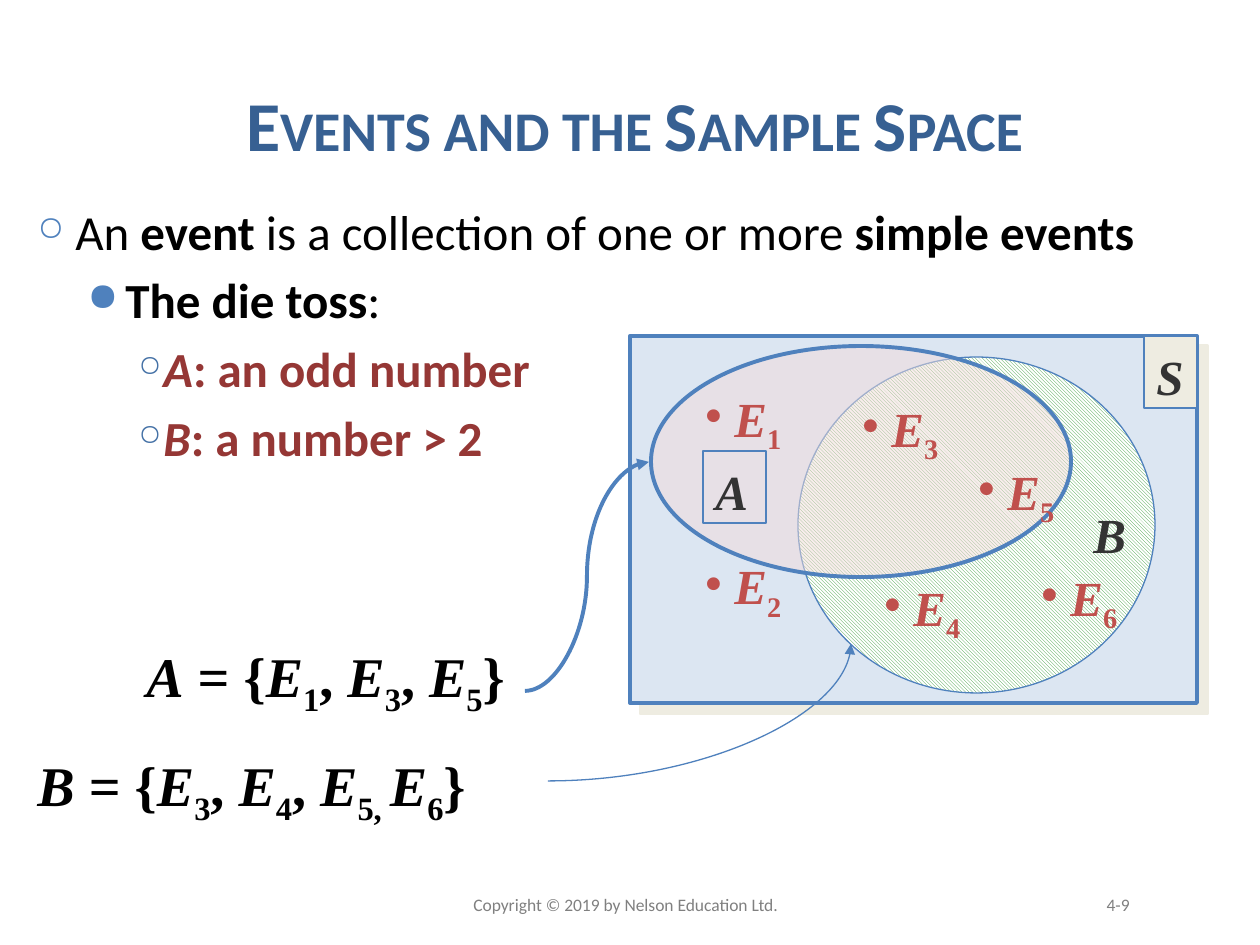
import pptx
import pptx.util
import pptx.dml.color
import pptx.enum.dml
import pptx.enum.shapes
import pptx.enum.text
import pptx.oxml
import lxml.etree

PX = 7257
NAMESPACE = 'xmlns:a="http://schemas.openxmlformats.org/drawingml/2006/main"'
SERIF = "Times New Roman"
SANS = "Calibri"
BLUE = "4F81BD"
color = pptx.dml.color.RGBColor.from_string
align = pptx.enum.text.PP_ALIGN
anchor = pptx.enum.text.MSO_ANCHOR
preset = pptx.enum.shapes.MSO_SHAPE


def write(paragraph, runs, size, font, hex_color):
    for text, style in runs:
        run = paragraph.add_run()
        run.text = text
        run.font.size = pptx.util.Pt(size)
        run.font.name = font
        run.font.color.rgb = color(hex_color)
        run.font.bold = "b" in style
        run.font.italic = "i" in style
        if "s" in style:
            run.font._element.set("baseline", "-25000")
        if "c" in style:
            run.font._element.set("cap", "small")


def add_bullet(paragraph, margin, indent, character, hex_color, percent):
    properties = paragraph._p.get_or_add_pPr()
    properties.set("marL", str(margin * PX))
    properties.set("indent", str(-indent * PX))
    for xml in (
        f'<a:buClr {NAMESPACE}><a:srgbClr val="{hex_color}"/></a:buClr>',
        f'<a:buSzPct {NAMESPACE} val="{percent * 1000}"/>',
        f'<a:buChar {NAMESPACE} char="{character}"/>',
    ):
        properties.append(pptx.oxml.parse_xml(xml))


presentation = pptx.Presentation()
presentation.slide_width = 1260 * PX
presentation.slide_height = 945 * PX
slide = presentation.slides.add_slide(presentation.slide_layouts[6])
shapes = slide.shapes

for bounds, text, style, size, hex_color, alignment, vertical in (
    ((44, 37, 1181, 129), "Events and the Sample Space", "bc", 40, "376092", align.CENTER, anchor.BOTTOM),
    ((426, 880, 399, 50), "Copyright © 2019 by Nelson Education Ltd.", "", 10, "808080", align.CENTER, anchor.MIDDLE),
    ((848, 880, 294, 50), "4-9", "", 10, "808080", align.RIGHT, anchor.MIDDLE),
):
    frame = shapes.add_textbox(*[value * PX for value in bounds]).text_frame
    frame.word_wrap = True
    frame.vertical_anchor = vertical
    if vertical == anchor.BOTTOM:
        frame.margin_bottom = 0
    frame.paragraphs[0].alignment = alignment
    write(frame.paragraphs[0], [(text, style)], size, SANS, hex_color)

body = shapes.add_textbox(25 * PX, 195 * PX, 1150 * PX, 672 * PX).text_frame
body.word_wrap = True
for index, (margin, indent, character, bullet_color, percent, hex_color, runs) in enumerate((
    (38, 38, "○", BLUE, 70, "000000", [
        ("An ", ""), ("event", "b"), (" is a collection of one or more ", ""), ("simple events", "b")]),
    (88, 38, "●", BLUE, 80, "000000", [("The die toss", "b"), (":", "")]),
    (126, 25, "○", "4471A6", 60, "953735", [("A", "bi"), (": an odd number", "b")]),
    (126, 25, "○", "4471A6", 60, "953735", [("B", "bi"), (": a number > 2", "b")]),
)):
    paragraph = body.add_paragraph() if index else body.paragraphs[0]
    add_bullet(paragraph, margin, indent, character, bullet_color, percent)
    if index:
        paragraph.space_before = pptx.util.Pt(5.6)
    write(paragraph, runs, 28, SANS, hex_color)

for bounds, event, members in (
    ((134, 631, 431, 80), "A", "135"),
    ((25, 741, 523, 80), "B", "3456"),
):
    runs = [(event, "bi"), (" = {", "b")]
    for index, member in enumerate(members):
        if index:
            runs.append((", ", "bs" if member == "6" else "b"))
        runs += [("E", "bi"), (member, "bs")]
    runs.append(("}", "b"))
    frame = shapes.add_textbox(*[value * PX for value in bounds]).text_frame
    frame.word_wrap = True
    frame.margin_top = 10 * PX
    write(frame.paragraphs[0], runs, 32, SERIF, "000000")

for kind, bounds, fill, width, label in (
    (preset.RECTANGLE, (630, 336, 567, 367), "DCE6F2", 2.25, ""),
    (preset.RECTANGLE, (1144, 336, 53, 72), "EEECE1", 0.75, "S"),
    (preset.OVAL, (798, 357, 357, 336), "pattern", 0.75, ""),
    (preset.RECTANGLE, (1081, 494, 73, 72), None, 0, "B"),
    ("curvedConnector2", (548, 781, 851, 644), None, 0.75, ""),
    (preset.OVAL, (651, 346, 420, 231), "F2DCDB", 2.25, ""),
    (preset.RECTANGLE, (703, 451, 63, 72), None, 0.75, "A"),
    ("curvedConnector3", (525, 691, 649, 462), None, 2.25, ""),
):
    bounds = [value * PX for value in bounds]
    if isinstance(kind, str):
        shape = shapes.add_connector(pptx.enum.shapes.MSO_CONNECTOR.CURVE, *bounds)
        properties = shape._element.spPr
        properties.prstGeom.set("prst", kind)
        shape.line.color.rgb = color(BLUE)
        shape.line.width = pptx.util.Pt(width)
        shape.line._get_or_add_ln().append(
            pptx.oxml.parse_xml(f'<a:tailEnd {NAMESPACE} type="triangle"/>'))
        properties.append(pptx.oxml.parse_xml(f"<a:effectLst {NAMESPACE}/>"))
        continue

    shape = shapes.add_shape(kind, *bounds)
    shape.shadow.inherit = False
    if fill == "pattern":
        shape.fill.patterned()
        shape.fill.pattern = pptx.enum.dml.MSO_PATTERN.LIGHT_DOWNWARD_DIAGONAL
        shape.fill.fore_color.rgb = color("339933")
        shape.fill.back_color.rgb = color("FFFFFF")
    elif fill:
        shape.fill.solid()
        shape.fill.fore_color.rgb = color(fill)
    else:
        shape.fill.background()
    if width:
        shape.line.color.rgb = color(BLUE)
        shape.line.width = pptx.util.Pt(width)
    else:
        shape.line.fill.background()
    properties = shape._element.spPr
    if fill == "F2DCDB":
        value = next(properties.iter("{*}srgbClr"))
        value.append(pptx.oxml.parse_xml(f'<a:alpha {NAMESPACE} val="50000"/>'))
    if fill == "DCE6F2":
        next(properties.iter("{*}effectLst")).append(pptx.oxml.parse_xml(
            f'<a:outerShdw {NAMESPACE} blurRad="0" dist="107950" dir="2700000" algn="ctr" '
            'rotWithShape="0"><a:srgbClr val="EEECE1"/></a:outerShdw>'))
    if label:
        frame = shape.text_frame
        frame.word_wrap = True
        frame.vertical_anchor = anchor.TOP
        frame.margin_top = 10 * PX
        frame.margin_right = 0
        frame.paragraphs[0].alignment = align.LEFT
        write(frame.paragraphs[0], [(label, "bi")], 28, SERIF, "333333")

for number, left, top in (
    ("1", 693, 378), ("6", 1029, 557), ("2", 693, 546),
    ("3", 850, 388), ("4", 872, 567), ("5", 966, 451),
):
    frame = shapes.add_textbox(left * PX, top * PX, 105 * PX, 72 * PX).text_frame
    frame.word_wrap = True
    frame.margin_top = 10 * PX
    frame.margin_right = 0
    add_bullet(frame.paragraphs[0], 29, 29, "•", "C0504D", 100)
    write(frame.paragraphs[0], [("E", "bi"), (number, "bs")], 28, SERIF, "C0504D")

presentation.save("out.pptx")
